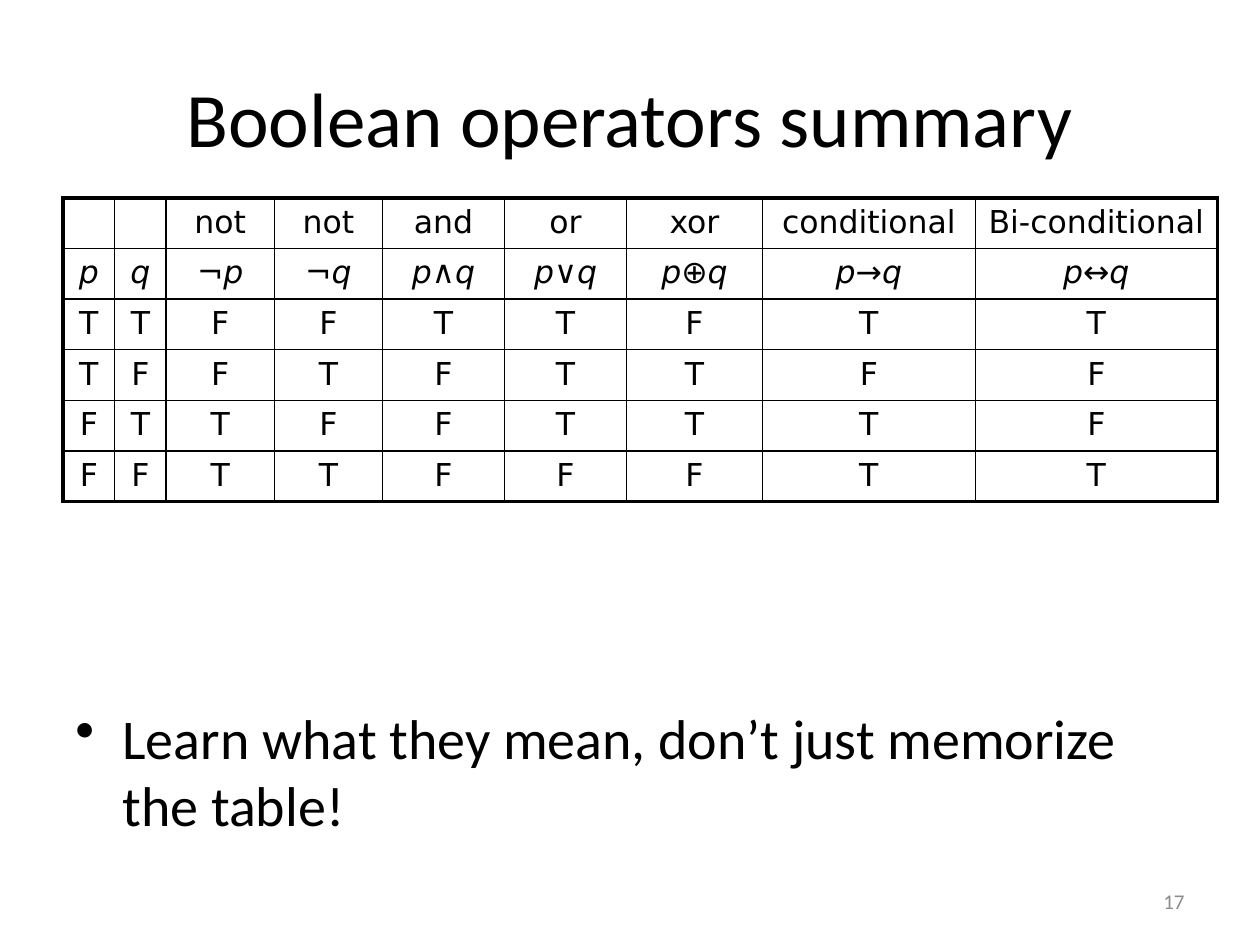
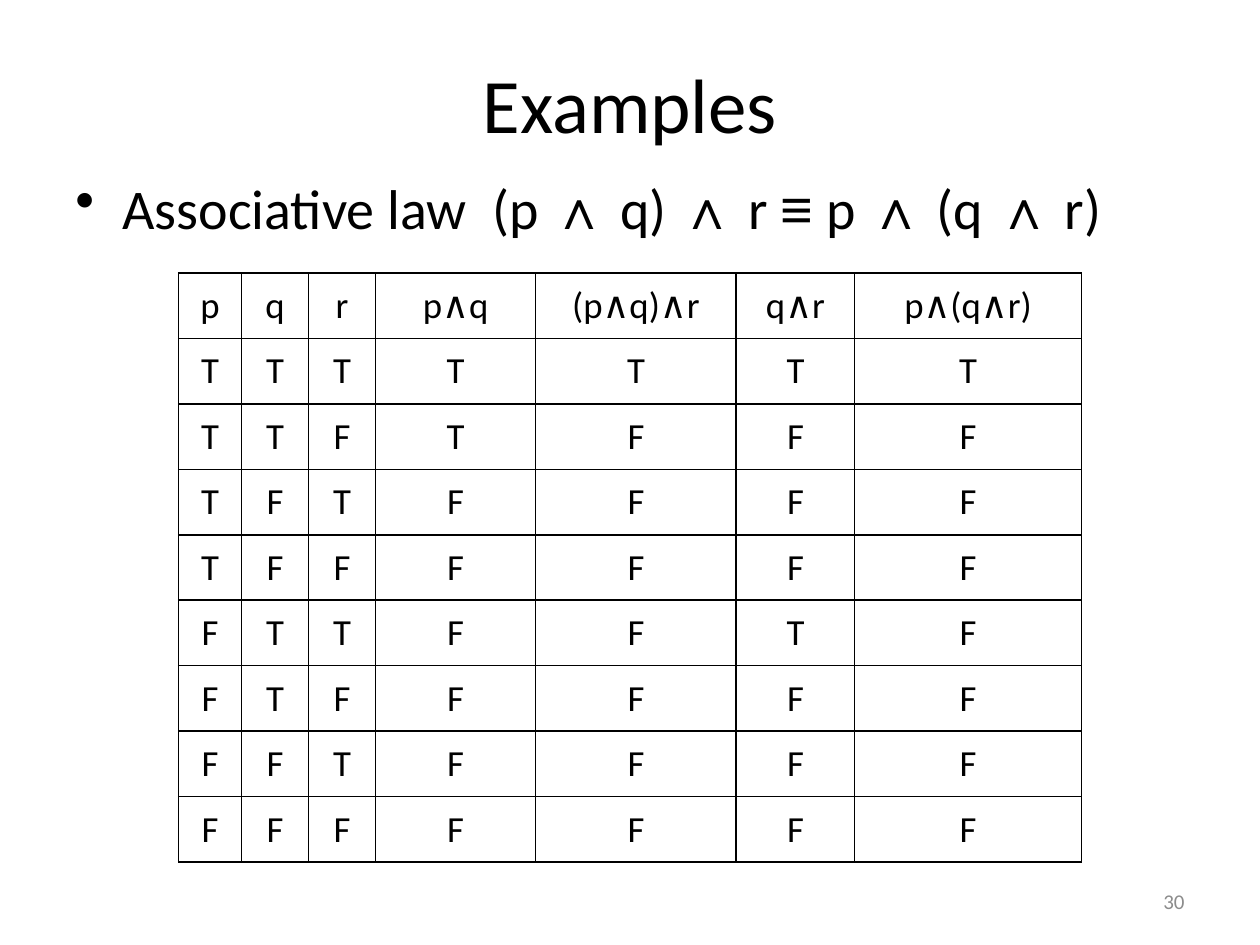
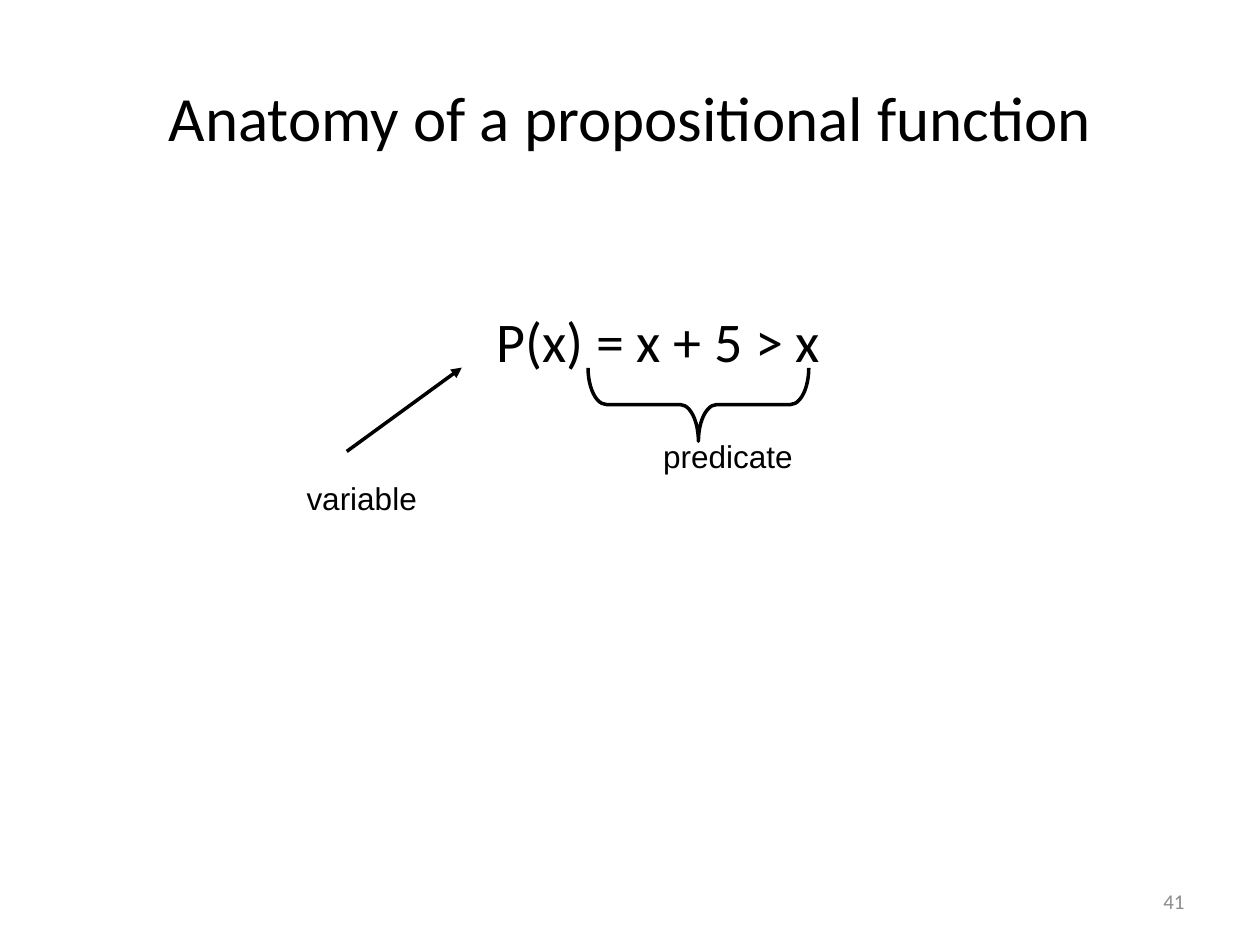
import itertools

import pptx
import pptx.dml.color
import pptx.enum.shapes
import pptx.enum.text
import pptx.oxml
import pptx.oxml.ns
import pptx.util
from lxml import etree

Cm, Pt = pptx.util.Cm, pptx.util.Pt
ALIGN = pptx.enum.text.PP_ALIGN
ANCHOR = pptx.enum.text.MSO_ANCHOR
qn = pptx.oxml.ns.qn

BLACK = pptx.dml.color.RGBColor(0x00, 0x00, 0x00)
GRAY = pptx.dml.color.RGBColor(0x8C, 0x8C, 0x8C)
BODY_FONT, SYMBOL_FONT, TABLE_FONT = "Calibri", "Arial", "DejaVu Sans"

# Shared layout, in centimetres
MARGIN, CONTENT_W = 1.27, 22.86
BODY_TOP, BODY_H = 4.45, 12.57
INDENT = 0.95


def style(p, size, name=BODY_FONT, color=BLACK, align=ALIGN.LEFT):
    p.alignment = align
    p.font.size = Pt(size)
    p.font.name = name
    p.font.color.rgb = color


def add_text(s, text, left, top, width, height, size, name=BODY_FONT,
             color=BLACK, align=ALIGN.LEFT, anchor=ANCHOR.TOP, wrap=True):
    tf = s.shapes.add_textbox(Cm(left), Cm(top), Cm(width), Cm(height)).text_frame
    tf.word_wrap = wrap
    tf.vertical_anchor = anchor
    p = tf.paragraphs[0]
    p.text = text
    style(p, size, name, color, align)
    return tf


def add_slide(prs, title, number, title_h=3.18, title_size=44):
    """Blank slide with the shared title and slide number."""
    s = prs.slides.add_slide(prs.slide_layouts[6])
    add_text(s, title, MARGIN, 0.76, CONTENT_W, title_h, title_size,
             align=ALIGN.CENTER, anchor=ANCHOR.MIDDLE)
    add_text(s, str(number), 18.21, 17.65, 5.92, 1.02, 12, color=GRAY,
             align=ALIGN.RIGHT, anchor=ANCHOR.MIDDLE)
    return s


def add_bullet(s, text, top, height, anchor=ANCHOR.TOP, symbols=""):
    """Bulleted line; characters in symbols get the symbol font."""
    tf = add_text(s, "", MARGIN, top, CONTENT_W, height, 32, anchor=anchor)
    p = tf.paragraphs[0]
    pPr = p._p.get_or_add_pPr()
    pPr.set("marL", str(Cm(INDENT)))
    pPr.set("indent", str(-Cm(INDENT)))
    bullet = etree.Element(qn("a:buChar"), char="•")
    pPr.insert(0, bullet)
    for is_symbol, chars in itertools.groupby(text, lambda c: c in symbols):
        r = p.add_run()
        r.text = "".join(chars)
        if is_symbol:
            r.font.name = SYMBOL_FONT


def set_borders(cell, widths):
    """Black borders, widths in points for left, right, top, bottom."""
    tcPr = cell._tc.get_or_add_tcPr()
    for i, (side, width) in enumerate(zip("LRTB", widths)):
        ln = etree.Element(qn(f"a:ln{side}"), w=str(Pt(width)))
        fill = etree.SubElement(ln, qn("a:solidFill"))
        etree.SubElement(fill, qn("a:srgbClr"), val=str(BLACK))
        tcPr.insert(i, ln)


def add_truth_table(s, rows, left, top, col_widths, row_h, size, name,
                    anchor=ANCHOR.TOP, outer=1, italic_row=None):
    n_rows, n_cols = len(rows), len(col_widths)
    table = s.shapes.add_table(n_rows, n_cols, Cm(left), Cm(top),
                               Cm(sum(col_widths)), Cm(row_h * n_rows)).table
    table.first_row = table.horz_banding = False
    for column, width in zip(table.columns, col_widths):
        column.width = Cm(width)
    for i, row in enumerate(rows):
        table.rows[i].height = Cm(row_h)
        for j, text in enumerate(row):
            cell = table.cell(i, j)
            cell.fill.background()
            cell.vertical_anchor = anchor
            edges = (j == 0, j == n_cols - 1, i == 0, i == n_rows - 1)
            set_borders(cell, [outer if edge else 1 for edge in edges])
            p = cell.text_frame.paragraphs[0]
            style(p, size, name, align=ALIGN.CENTER)
            if i == italic_row:
                for char in text:
                    r = p.add_run()
                    r.text = char
                    r.font.italic = char.isalpha()
            else:
                p.text = text


def add_brace(s, left, top, width, height):
    """Brace pointing down, given by its frame before rotation."""
    sp = s.shapes.add_shape(pptx.enum.shapes.MSO_SHAPE.LEFT_BRACE,
                            Cm(left), Cm(top), Cm(width), Cm(height))
    sp.rotation = 270
    sp.adjustments[0], sp.adjustments[1] = 0.25, 0.5
    sp.shadow.inherit = False
    sp.fill.background()
    sp.line.color.rgb = BLACK
    sp.line.width = Pt(2)


def add_arrow(s, x1, y1, x2, y2):
    line = s.shapes.add_connector(pptx.enum.shapes.MSO_CONNECTOR.STRAIGHT,
                                  Cm(x1), Cm(y1), Cm(x2), Cm(y2))
    line.line.color.rgb = BLACK
    line.line.width = Pt(2)
    etree.SubElement(line.line._get_or_add_ln(), qn("a:tailEnd"), type="triangle")
    etree.SubElement(line._element.spPr, qn("a:effectLst"))


def operators_slide(prs):
    s = add_slide(prs, "Boolean operators summary", 17)
    add_bullet(s, "Learn what they mean, don’t just memorize the table!",
               BODY_TOP, BODY_H, anchor=ANCHOR.BOTTOM)
    rows = [
        ["", "", "not", "not", "and", "or", "xor", "conditional", "Bi-conditional"],
        ["p", "q", "¬p", "¬q", "p∧q", "p∨q", "p⊕q", "p→q", "p↔q"],
        "TTFFTTFTT",
        "TFFTFTTFF",
        "FTTFFTTTF",
        "FFTTFFFTT",
    ]
    add_truth_table(s, rows, MARGIN, 3.99,
                    [1.04, 1.04, 2.18, 2.18, 2.46, 2.46, 2.74, 4.29, 4.88],
                    1.02, 18, TABLE_FONT, outer=2.25, italic_row=1)


def associative_slide(prs):
    s = add_slide(prs, "Examples", 30, title_h=2.62)
    add_bullet(s, "Associative law  (p ∧ q) ∧ r ≡ p ∧ (q ∧ r)", 3.38, 15.04,
               symbols="∧≡")
    rows = [["p", "q", "r", "p∧q", "(p∧q)∧r", "q∧r", "p∧(q∧r)"]]
    for p, q, r in itertools.product([True, False], repeat=3):
        values = [p, q, r, p and q, p and q and r, q and r, p and q and r]
        rows.append(["T" if value else "F" for value in values])
    add_truth_table(s, rows, 3.6, 5.5,
                    [1.27, 1.35, 1.35, 3.23, 4.04, 2.39, 4.57],
                    1.32, 21, BODY_FONT, anchor=ANCHOR.MIDDLE)


def function_slide(prs):
    s = add_slide(prs, "Anatomy of a propositional function", 41, title_size=36)
    # Formula, placed inside the body area by its insets
    tf = add_text(s, "P(x) = x + 5 > x", MARGIN, BODY_TOP, CONTENT_W, BODY_H, 32)
    tf.margin_left, tf.margin_top = Cm(8.74), Cm(1.73)
    # Labelled parts
    add_brace(s, 13.34, 5.93, 1.48, 4.45)
    add_text(s, "variable", 5.93, 9.53, 2.74, 1.02, 18, SYMBOL_FONT, wrap=False)
    add_text(s, "predicate", 13.12, 8.68, 3.12, 1.02, 18, SYMBOL_FONT, wrap=False)
    add_arrow(s, 6.99, 9.1, 9.31, 7.41)


def main():
    prs = pptx.Presentation()
    prs.slide_width, prs.slide_height = Cm(25.4), Cm(19.05)
    operators_slide(prs)
    associative_slide(prs)
    function_slide(prs)
    prs.save("out.pptx")


if __name__ == "__main__":
    main()
